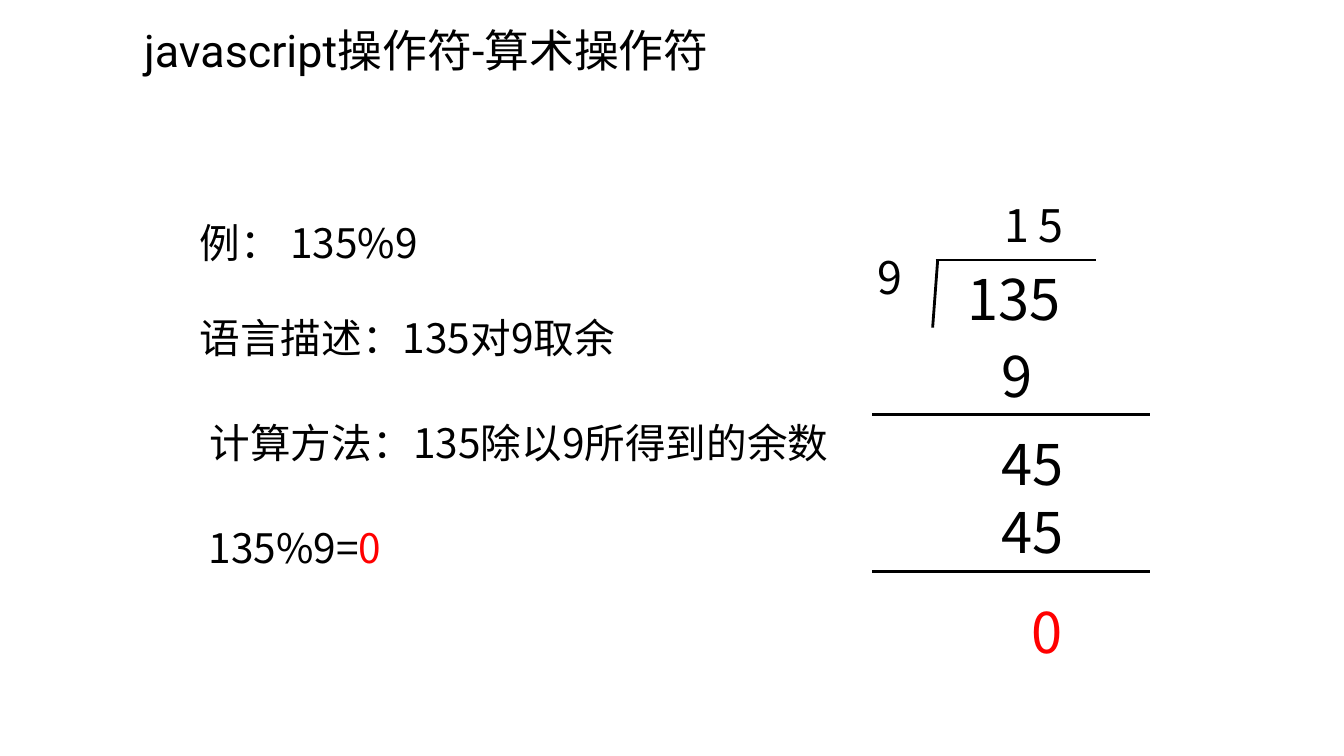
from lxml.etree import SubElement
from pptx import Presentation
from pptx.dml.color import RGBColor
from pptx.enum.shapes import MSO_CONNECTOR
from pptx.enum.text import MSO_ANCHOR, MSO_AUTO_SIZE, PP_ALIGN
from pptx.oxml.ns import qn
from pptx.util import Inches, Pt

COLORS = {"ink": "000000", "result": "FF0000"}
BODY_FONT, TITLE_FONT = "Noto Sans CJK SC", "Roboto"
FRAME_FORMAT = {
    "word_wrap": False,
    "auto_size": MSO_AUTO_SIZE.SHAPE_TO_FIT_TEXT,
    "vertical_anchor": MSO_ANCHOR.TOP,
    "margin_left": Inches(0.05),
    "margin_right": Inches(0.05),
    "margin_top": Inches(0.05),
    "margin_bottom": Inches(0.05),
}


def set_attributes(target, values):
    for name, value in values.items():
        setattr(target, name, value)


def indent_hanging(paragraph, inches):
    properties = paragraph._p.get_or_add_pPr()
    properties.set("marL", str(Inches(inches)))
    properties.set("indent", str(-Inches(inches)))


def add_run(paragraph, text, size, color, font=BODY_FONT):
    run = paragraph.add_run()
    run.text = text
    set_attributes(run.font, {"size": Pt(size), "name": font})
    run.font.color.rgb = RGBColor.from_string(COLORS[color])
    # Chinese characters take the East Asian typeface
    SubElement(run._r.get_or_add_rPr(), qn("a:ea"), typeface=BODY_FONT)


def add_text(slide, box, runs, size):
    label = slide.shapes.add_textbox(*map(Inches, box))
    set_attributes(label.text_frame, FRAME_FORMAT)
    paragraph = label.text_frame.paragraphs[0]
    indent_hanging(paragraph, 0.29)
    for text, color in runs:
        add_run(paragraph, text, size, color)


def add_rule(slide, start, end):
    rule = slide.shapes.add_connector(
        MSO_CONNECTOR.STRAIGHT, *map(Inches, (*start, *end)))
    rule.line.width = Pt(2)
    rule.line.color.rgb = RGBColor.from_string(COLORS["ink"])
    SubElement(rule._element.spPr, qn("a:effectLst"))


def add_title(slide, box):
    title = slide.shapes.title
    set_attributes(title, dict(zip(("left", "top", "width", "height"), map(Inches, box))))
    set_attributes(title.text_frame, {
        "vertical_anchor": MSO_ANCHOR.MIDDLE,
        "auto_size": MSO_AUTO_SIZE.NONE,
    })
    paragraph = title.text_frame.paragraphs[0]
    set_attributes(paragraph, {"alignment": PP_ALIGN.LEFT, "line_spacing": 0.9})
    indent_hanging(paragraph, 1)
    add_run(paragraph, "javascript操作符-算术操作符", 32, "ink", TITLE_FONT)


def add_explanation(slide, left, top):
    # Offset, width, height and wording of each statement
    statements = [
        (0, 0, 2.29, 0.67, [("例： 135%9", "ink")]),
        (0, 0.95, 4.23, 0.67, [("语言描述：135对9取余", "ink")]),
        (0.1, 1.99, 6.25, 0.67, [("计算方法：135除以9所得到的余数", "ink")]),
        (0.09, 3.03, 1.83, 0.59, [("135%9=", "ink"), ("0", "result")]),
    ]
    for dx, dy, width, height, runs in statements:
        add_text(slide, (left + dx, top + dy, width, height), runs, 29)


def add_long_division(slide, left, top, width):
    # Quotient digits and divisor
    for digit, dx, dy in [("1", 1.26, 0), ("5", 1.6, 0), ("9", 0, 0.52)]:
        add_text(slide, (left + dx, top + dy, 0.36, 0.63), [(digit, "ink")], 32)

    # Dividend, products and remainders
    steps = [
        ("135", 0.9, 0.67, 1.04, "ink"),
        ("9", 1.23, 1.43, 0.42, "ink"),
        ("45", 1.23, 2.3, 0.73, "ink"),
        ("45", 1.23, 2.98, 0.73, "ink"),
        ("0", 1.53, 3.97, 0.42, "result"),
    ]
    for number, dx, dy, step_width, color in steps:
        add_text(slide, (left + dx, top + dy, step_width, 0.77), [(number, color)], 40)

    # Division bracket
    bracket_top = top + 0.67
    add_rule(slide, (left + 0.63, bracket_top), (left + 2.22, bracket_top))
    add_rule(slide, (left + 0.65, bracket_top), (left + 0.6, bracket_top + 0.67))

    # Subtraction lines
    for dy in (2.2, 3.76):
        add_rule(slide, (left, top + dy), (left + width, top + dy))


def main():
    presentation = Presentation()
    set_attributes(presentation, {"slide_width": Inches(13.33), "slide_height": Inches(7.5)})
    slide = presentation.slides.add_slide(presentation.slide_layouts[5])
    add_title(slide, (1.33, 0.05, 12, 0.95))
    add_explanation(slide, 1.93, 2.11)
    add_long_division(slide, 8.65, 1.91, 2.76)
    presentation.save("out.pptx")


if __name__ == "__main__":
    main()
